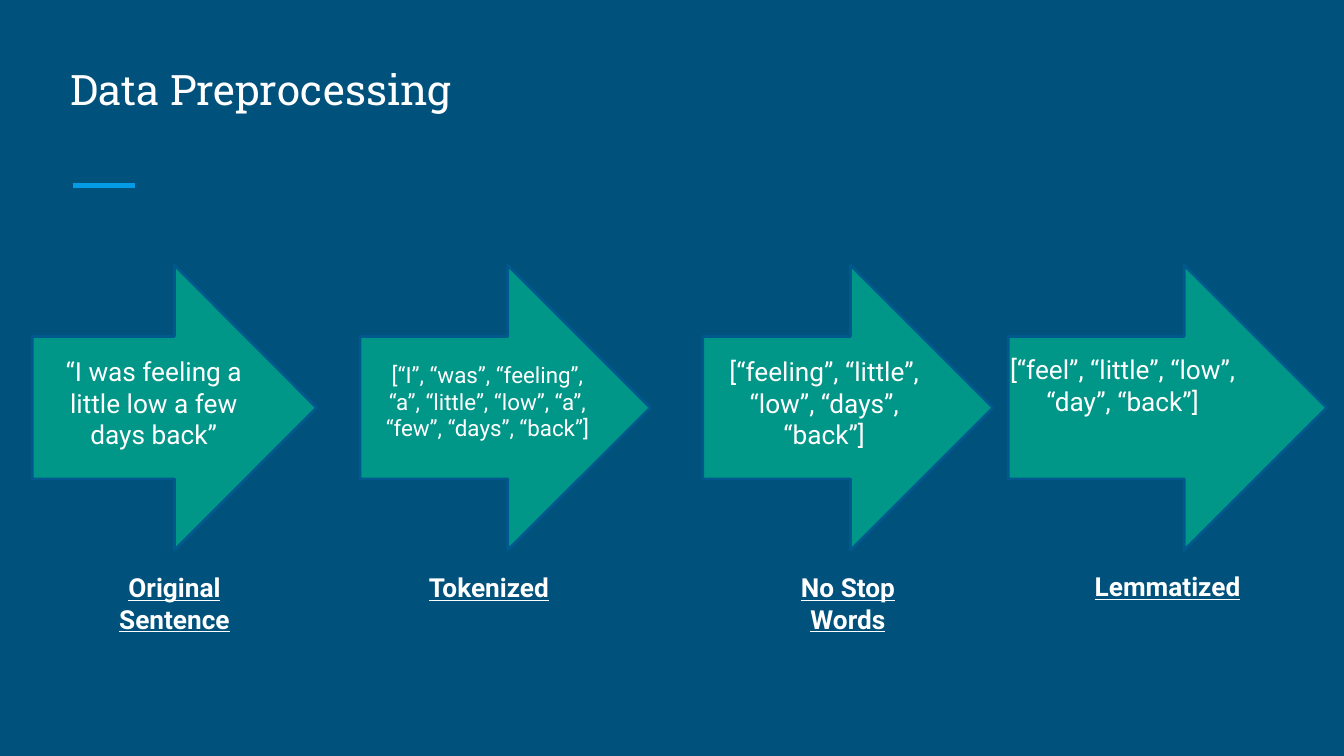
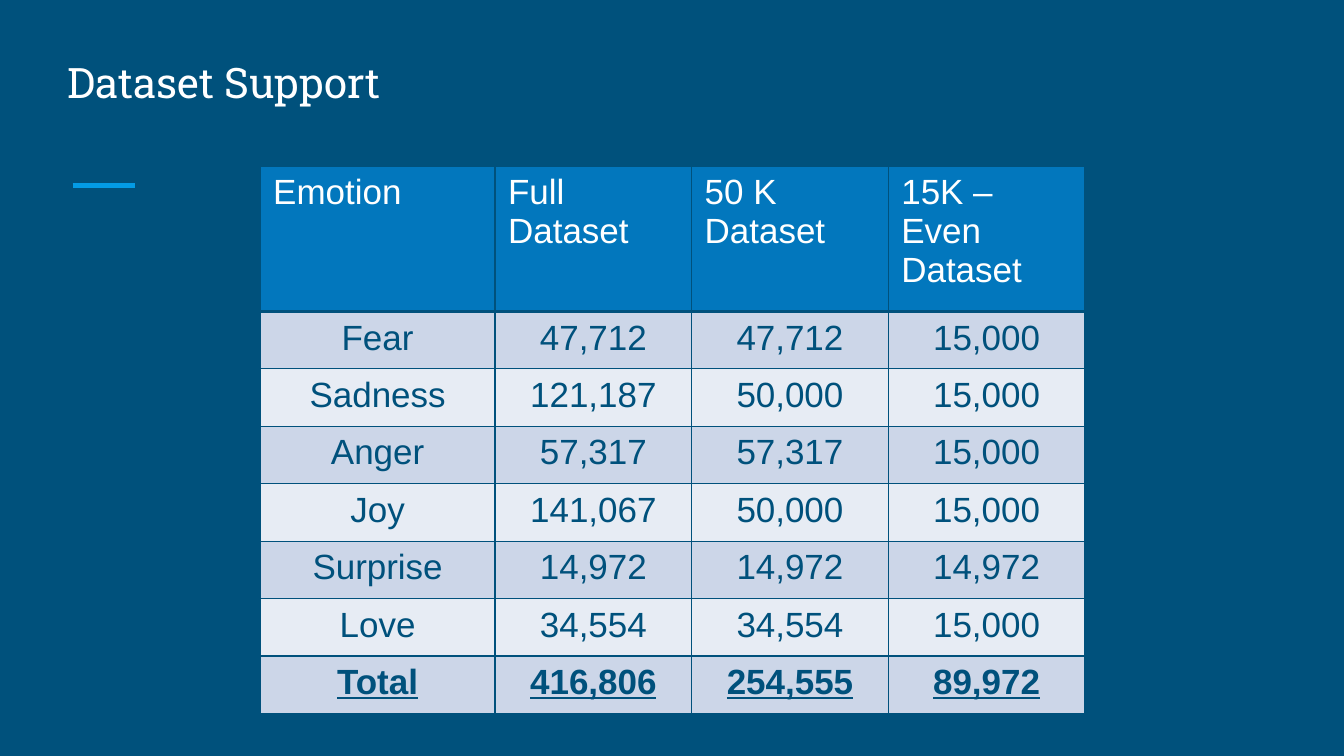
from lxml.etree import SubElement
from pptx import Presentation
from pptx.dml.color import RGBColor
from pptx.enum.shapes import MSO_CONNECTOR, MSO_SHAPE
from pptx.enum.text import MSO_ANCHOR, PP_ALIGN
from pptx.oxml.ns import qn
from pptx.util import Inches, Pt

# Shared look
NAVY = RGBColor(0x00, 0x51, 0x7C)
SKY = RGBColor(0x03, 0x9B, 0xE5)
TEAL = RGBColor(0x00, 0x96, 0x88)
EDGE = RGBColor(0x01, 0x58, 0x8C)
HEADER = RGBColor(0x02, 0x77, 0xBD)
BAND_DARK = RGBColor(0xCC, 0xD6, 0xE8)
BAND_LIGHT = RGBColor(0xE7, 0xEC, 0xF4)
WHITE = RGBColor(0xFF, 0xFF, 0xFF)

TITLE = {"name": "Roboto Slab", "size": Pt(30), "color": WHITE}
STEP = {"name": "Roboto", "size": Pt(18.7), "color": WHITE}
SMALL_STEP = {**STEP, "size": Pt(16)}
CAPTION = {**STEP, "bold": True, "underline": True}
HEAD_CELL = {"name": "Arial", "size": Pt(25), "color": WHITE, "bold": False}
BODY_CELL = {**HEAD_CELL, "color": NAVY}
TOTAL_CELL = {**BODY_CELL, "bold": True, "underline": True}


def inches(box):
    return [Inches(value) for value in box]


def write(para, text, style, align=PP_ALIGN.LEFT):
    para.alignment = align
    span = para.add_run()
    span.text = text
    for key, value in style.items():
        if key == "color":
            span.font.color.rgb = value
        else:
            setattr(span.font, key, value)


def set_margins(target, across, down):
    for side, value in zip(("left", "right", "top", "bottom"), (across, across, down, down)):
        setattr(target, "margin_" + side, Inches(value))


def add_text(page, box, text, style, align=PP_ALIGN.CENTER, indent=0):
    frame = page.shapes.add_textbox(*inches(box)).text_frame
    frame.word_wrap = True
    para = frame.paragraphs[0]
    write(para, text, style, align)
    if indent:
        para._p.get_or_add_pPr().set("marL", str(Inches(indent)))
    return frame


# Background, title and accent rule
def add_page(deck, title, top, margin):
    page = deck.slides.add_slide(deck.slide_layouts[6])
    rule = page.shapes.add_connector(MSO_CONNECTOR.STRAIGHT, *inches((0.72, 1.84, 1.34, 1.84)))
    rule.line.color.rgb = SKY
    rule.line.width = Pt(3)
    SubElement(rule._element.spPr, qn("a:effectLst"))
    frame = add_text(page, (0.57, top, 12.2, 1), title, TITLE, PP_ALIGN.LEFT)
    frame.vertical_anchor = MSO_ANCHOR.BOTTOM
    set_margins(frame, margin, margin)
    return page


# One arrow with its sentence and caption
def add_step(page, box, text, text_box, style, caption, caption_box):
    left, top, width, height = box
    arrow = page.shapes.add_shape(MSO_SHAPE.RIGHT_ARROW, *inches(box))
    arrow.shadow.inherit = False
    arrow.fill.solid()
    arrow.fill.fore_color.rgb = TEAL
    arrow.line.color.rgb = EDGE
    arrow.line.width = Pt(2)
    for words, (dx, dy, wide, high), look, indent in (
        (text, text_box, style, 0.17),
        (caption, caption_box, CAPTION, 0),
    ):
        add_text(page, (left + dx, top + dy, wide, high), words, look, indent=indent)


def add_border(cell, side, width):
    line = SubElement(cell._tc.get_or_add_tcPr(), qn("a:ln" + side), w=str(Pt(width)))
    fill = SubElement(line, qn("a:solidFill"))
    SubElement(fill, qn("a:srgbClr"), val=str(NAVY))


# Banded table: header row, body rows, total row
def add_data_table(page, box, rows, widths, heights):
    table = page.shapes.add_table(len(rows), len(widths), *inches(box)).table
    table.horz_banding = False
    for column, width in zip(table.columns, widths):
        column.width = Inches(width)
    for row, height in zip(table.rows, heights):
        row.height = Inches(height)
    last = len(rows) - 1
    for r, values in enumerate(rows):
        if r == 0:
            fill, style, align = HEADER, HEAD_CELL, PP_ALIGN.LEFT
        else:
            fill = BAND_DARK if r % 2 else BAND_LIGHT
            style = TOTAL_CELL if r == last else BODY_CELL
            align = PP_ALIGN.CENTER
        for c, value in enumerate(values):
            cell = table.cell(r, c)
            set_margins(cell, 0.13, 0.07)
            for side in "LRTB":
                thick = (r, side) in ((0, "B"), (1, "T"))
                add_border(cell, side, 3 if thick else 1)
            cell.fill.solid()
            cell.fill.fore_color.rgb = fill
            write(cell.text_frame.paragraphs[0], value, style, align)


def preprocessing_slide(deck):
    page = add_page(deck, "Data Preprocessing", 0.26, 0.13)
    # Arrow left and width; text and caption boxes are offsets from the arrow
    steps = [
        (0.32, 2.82, "“I was feeling a little low a few days back”",
         (-0.15, 0.85, 2.54, 1.04), STEP, "Original Sentence", (0.35, 2.99, 2.12, 0.73)),
        (3.57, 2.88, "[“I”, “was”, “feeling”, “a”, “little”, “low”, “a”, “few”, “days”, “back”]",
         (-0.09, 0.9, 2.54, 0.91), SMALL_STEP, "Tokenized", (0.38, 2.99, 1.8, 0.42)),
        (6.97, 2.88, "[“feeling”, “little”, “low”, “days”, “back”]",
         (-0.15, 0.85, 2.54, 1.04), STEP, "No Stop Words", (0.75, 2.99, 1.38, 0.73)),
        (10, 3.16, "[“feel”, “little”, “low”, “day”, “back”]",
         (-0.27, 0.83, 2.64, 0.73), STEP, "Lemmatized", (-0.08, 2.98, 3.32, 0.42)),
    ]
    for left, width, *parts in steps:
        add_step(page, (left, 2.63, width, 2.83), *parts)


def support_slide(deck):
    page = add_page(deck, "Dataset Support", 0.16, 0.1)
    rows = [
        ("Emotion", "Full Dataset", "50 K Dataset", "15K – Even Dataset"),
        ("Fear", "47,712", "47,712", "15,000"),
        ("Sadness", "121,187", "50,000", "15,000"),
        ("Anger", "57,317", "57,317", "15,000"),
        ("Joy", "141,067", "50,000", "15,000"),
        ("Surprise", "14,972", "14,972", "14,972"),
        ("Love", "34,554", "34,554", "15,000"),
        ("Total", "416,806", "254,555", "89,972"),
    ]
    add_data_table(page, (2.58, 1.65, 8.18, 5.41), rows,
                   [2.33] + [1.95] * 3, [1.44] + [0.57] * 7)


deck = Presentation()
deck.slide_width, deck.slide_height = Inches(13.33), Inches(7.5)
backdrop = deck.slide_master.background.fill
backdrop.solid()
backdrop.fore_color.rgb = NAVY
preprocessing_slide(deck)
support_slide(deck)
deck.save("out.pptx")
